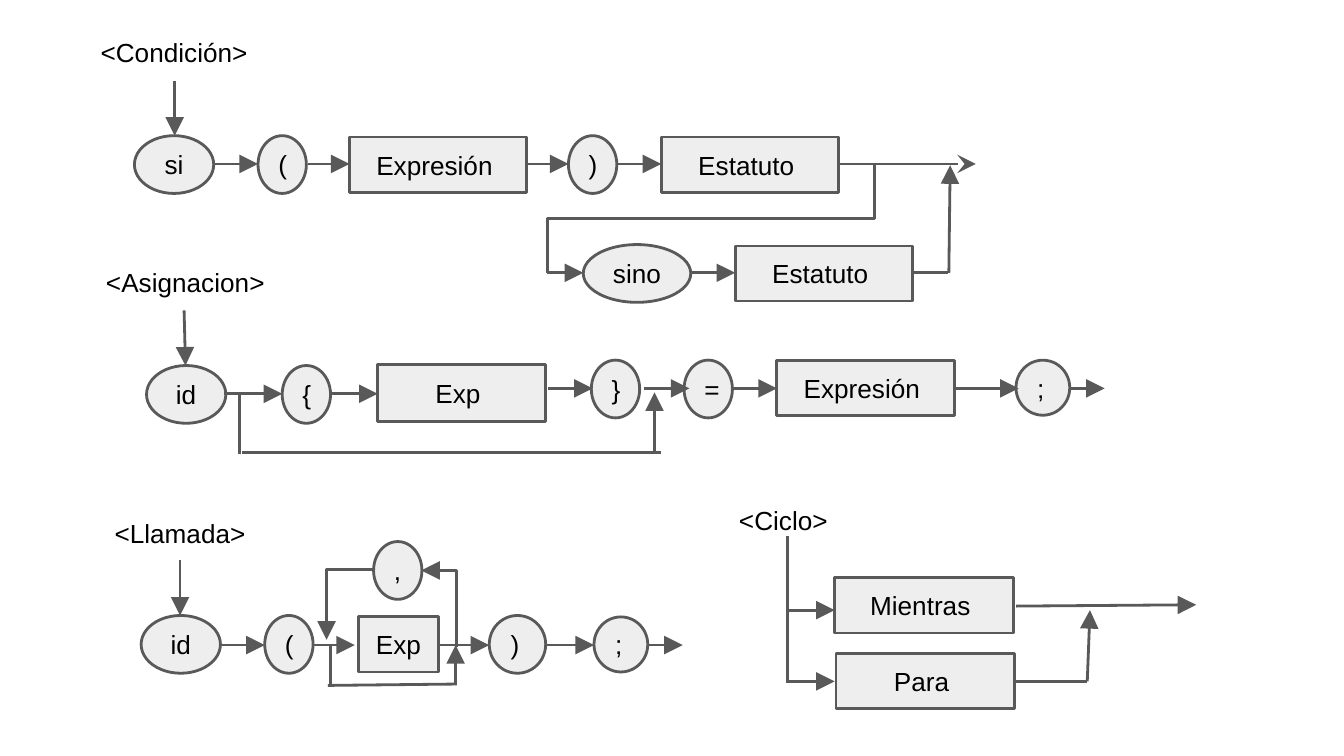
from pptx import Presentation
from pptx.dml.color import RGBColor
from pptx.enum.shapes import MSO_CONNECTOR as LINK, MSO_SHAPE as SHAPE
from pptx.enum.text import MSO_ANCHOR as ANCHOR, PP_ALIGN as ALIGN
from pptx.oxml.ns import qn
from pptx.util import Inches, Pt
from lxml.etree import SubElement

BLACK = RGBColor(0x00, 0x00, 0x00)
GRAY = RGBColor(0x59, 0x59, 0x59)
PALE = RGBColor(0xEE, 0xEE, 0xEE)
FONT = "Arial"
STROKE = Pt(1.5)
NODE_H = 0.43
BOX_H = 0.41

# Rule names: text, left, top, width, alignment
HEADINGS = [
    ("<Condición>", 0.65, 0.17, 1.32, ALIGN.LEFT),
    ("<Asignacion>", 0.65, 1.88, 1.46, ALIGN.CENTER),
    ("<Llamada>", 0.67, 3.75, 1.34, ALIGN.CENTER),
    ("<Ciclo>", 5.4, 3.65, 0.89, ALIGN.LEFT),
]

# Terminals: text, left, top, width, height, alignment
TERMINALS = [
    ("si", 1, 1.01, 0.59, NODE_H, ALIGN.CENTER),
    ("(", 1.92, 1.01, 0.36, NODE_H, ALIGN.CENTER),
    (")", 4.23, 1.01, 0.36, NODE_H, ALIGN.CENTER),
    ("sino", 4.34, 1.82, 0.8, NODE_H, ALIGN.CENTER),
    ("id", 1.09, 2.72, 0.59, NODE_H, ALIGN.CENTER),
    ("{", 2.1, 2.72, 0.36, NODE_H, ALIGN.CENTER),
    ("}", 4.4, 2.68, 0.36, NODE_H, ALIGN.CENTER),
    ("=", 5.09, 2.68, 0.36, NODE_H, ALIGN.LEFT),
    (";", 7.56, 2.68, 0.4, BOX_H, ALIGN.LEFT),
    ("id", 1.05, 4.58, 0.59, NODE_H, ALIGN.CENTER),
    ("(", 1.97, 4.58, 0.36, NODE_H, ALIGN.LEFT),
    (",", 2.78, 4.03, 0.36, NODE_H, ALIGN.LEFT),
    (")", 3.64, 4.58, 0.42, NODE_H, ALIGN.LEFT),
    (";", 4.42, 4.59, 0.4, BOX_H, ALIGN.LEFT),
]

# Nonterminals: text, left, top, width, height
NONTERMINALS = [
    ("Expresión ", 2.6, 1.02, 1.32, BOX_H),
    ("Estatuto ", 4.92, 1.02, 1.32, BOX_H),
    ("Estatuto ", 5.47, 1.83, 1.32, BOX_H),
    ("Exp ", 2.81, 2.71, 1.25, NODE_H),
    ("Expresión ", 5.78, 2.68, 1.32, BOX_H),
    ("Exp", 2.67, 4.59, 0.59, BOX_H),
    ("Mientras ", 6.21, 4.3, 1.33, BOX_H),
    ("Para ", 6.22, 4.86, 1.33, BOX_H),
]

# Level arrows: height on the page, then (from, to) pairs
LEVEL_ARROWS = [
    (1.22, [(1.59, 1.92), (2.29, 2.6), (3.91, 4.23), (4.59, 4.92)]),
    (2.03, [(5.14, 5.47)]),
    (2.93, [(1.67, 2.1), (2.46, 2.81)]),
    (2.89, [(4.08, 4.41), (4.79, 5.13), (5.45, 5.78), (7.1, 7.58),
            (7.96, 8.22)]),
    (4.8, [(1.63, 1.97), (2.33, 2.64), (3.25, 3.64), (4.06, 4.42),
           (4.82, 5.08)]),
    (4.54, [(5.85, 6.21)]),
    (5.07, [(5.85, 6.21)]),
]

# Other arrows: x and y of the start, x and y of the end
ARROWS = [
    (1.3, 0.6, 1.3, 1.01),
    (1.37, 2.31, 1.38, 2.72),
    (1.34, 4.17, 1.34, 4.58),
    (7.06, 2.03, 7.07, 1.23),
    (4.87, 3.37, 4.87, 2.92),
    (3.39, 5.1, 3.39, 4.8),
    (7.56, 4.51, 8.9, 4.5),
    (8.09, 5.07, 8.11, 4.54),
]

PLAIN_LINES = [
    (6.78, 2.03, 7.05, 2.03),
    (1.78, 2.92, 1.78, 3.38),
    (1.8, 3.37, 4.92, 3.37),
    (2.46, 4.8, 2.46, 5.11),
    (3.4, 5.09, 2.44, 5.1),
    (5.86, 3.99, 5.86, 5.07),
    (7.54, 5.07, 8.09, 5.07),
]


def set_text(shape, text, align, anchor):
    """Write one line of diagram text into a shape."""
    frame = shape.text_frame
    frame.text = text
    frame.word_wrap = True
    frame.vertical_anchor = anchor
    frame.margin_left = frame.margin_right = Inches(0.1)
    frame.margin_top = frame.margin_bottom = Inches(0.1)
    para = frame.paragraphs[0]
    para.alignment = align
    font = para.runs[0].font
    font.name, font.size = FONT, Pt(14)
    font.color.rgb = BLACK


def add_heading(page, text, left, top, width, align):
    """Add the name of a grammar rule."""
    box = page.shapes.add_textbox(Inches(left), Inches(top), Inches(width), Inches(0.43))
    set_text(box, text, align, ANCHOR.TOP)


def add_node(page, kind, text, left, top, width, height, align=ALIGN.CENTER):
    """Add a filled and outlined symbol of a rule."""
    node = page.shapes.add_shape(
        kind, Inches(left), Inches(top), Inches(width), Inches(height))
    node.shadow.inherit = False
    node.fill.solid()
    node.fill.fore_color.rgb = PALE
    node.line.color.rgb = GRAY
    node.line.width = STROKE
    set_text(node, text, align, ANCHOR.MIDDLE)


def add_line(page, x1, y1, x2, y2, head="triangle", kind=LINK.STRAIGHT):
    """Add a connector, with an arrowhead at its end unless head is None."""
    line = page.shapes.add_connector(
        kind, Inches(x1), Inches(y1), Inches(x2), Inches(y2))
    line.line.color.rgb = GRAY
    line.line.width = STROKE
    properties = line._element.spPr
    if head:
        outline = properties.find(qn("a:ln"))
        SubElement(outline, qn("a:tailEnd"), type=head, w="lg", len="lg")
    SubElement(properties, qn("a:effectLst"))
    return line


def add_bent(page, x1, y1, x2, y2, preset, adjusts=(), turn=0):
    """Add an arrow with corners, given a connector preset and its bends."""
    line = add_line(page, x1, y1, x2, y2, kind=LINK.ELBOW)
    properties = line._element.spPr
    properties.find(qn("a:xfrm")).set("rot", str(turn * 60000))
    geometry = properties.find(qn("a:prstGeom"))
    geometry.set("prst", preset)
    guides = geometry.find(qn("a:avLst"))
    if guides is None:
        guides = SubElement(geometry, qn("a:avLst"))
    for number, share in enumerate(adjusts, 1):
        SubElement(guides, qn("a:gd"), name=f"adj{number}",
                   fmla=f"val {round(share * 100000)}")


def main():
    """Build the page of syntax diagrams."""
    deck = Presentation()
    deck.slide_width = Inches(10)
    deck.slide_height = deck.slide_width * 9 // 16
    page = deck.slides.add_slide(deck.slide_layouts[6])

    for heading in HEADINGS:
        add_heading(page, *heading)
    for terminal in TERMINALS:
        add_node(page, SHAPE.OVAL, *terminal)
    for nonterminal in NONTERMINALS:
        add_node(page, SHAPE.RECTANGLE, *nonterminal)

    for y, spans in LEVEL_ARROWS:
        for start, end in spans:
            add_line(page, start, y, end, y)
    for arrow in ARROWS:
        add_line(page, *arrow)
    for plain in PLAIN_LINES:
        add_line(page, *plain, head=None)
    add_line(page, 6.24, 1.22, 7.26, 1.22, head="stealth")

    # Branch to "sino", and the loop through the comma
    add_bent(page, 6.24, 1.22, 4.34, 2.03, "bentConnector5", (-0.14, 0.5, 1.14))
    add_bent(page, 3.55, 4.4, 2.98, 4.66, "bentConnector2", turn=90)
    add_bent(page, 2.78, 4.24, 2.43, 4.76, "bentConnector2")

    deck.save("out.pptx")


main()
